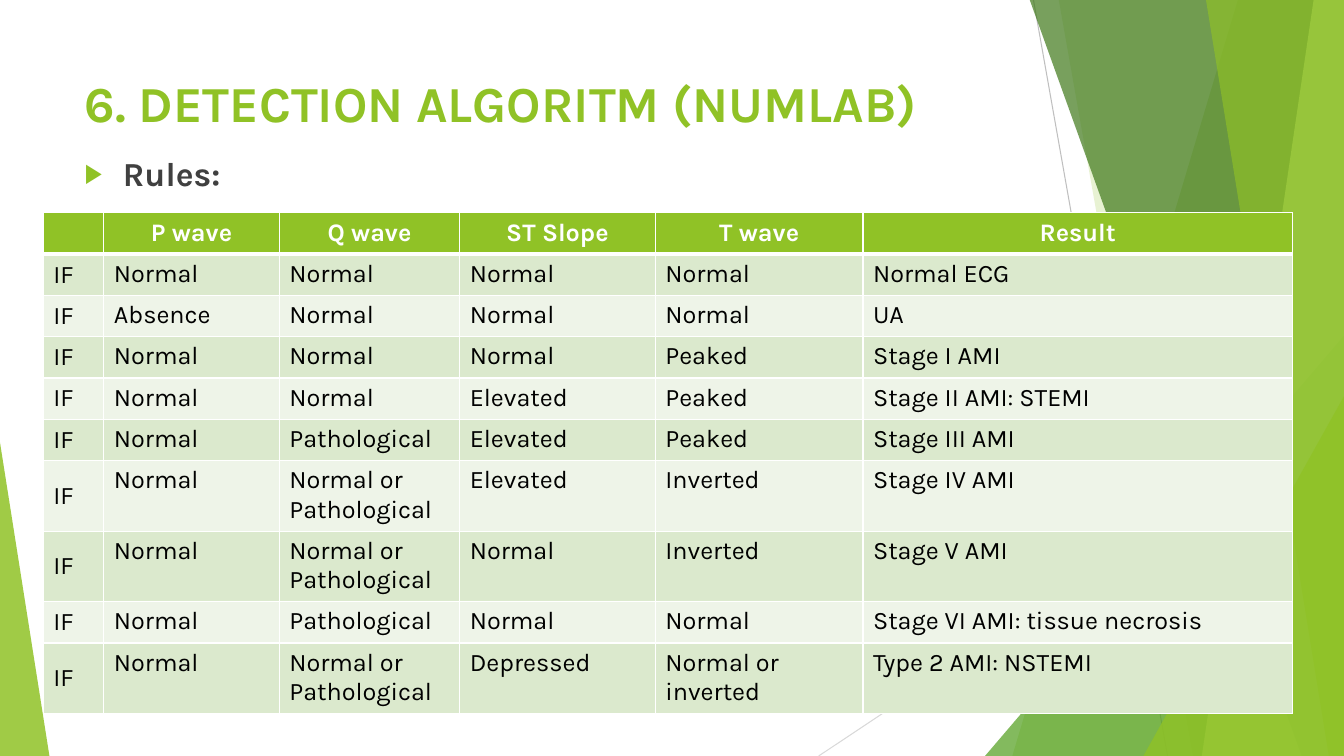
"""Build the detection rules slide with its faceted green backdrop and rule table."""
import dataclasses
import typing

import lxml.etree
import pptx
import pptx.dml.color
import pptx.enum.shapes
import pptx.enum.text
import pptx.oxml.ns
import pptx.slide
import pptx.table
import pptx.text.text
import pptx.util

PX = 9144
WIDTH, HEIGHT = 1333, 750
COLOURS = {
    "green": "90C226", "leaf": "54A021", "forest": "3F7819", "lime": "C0E474",
    "silver": "BFBFBF", "mist": "D9D9D9", "charcoal": "404040", "white": "FFFFFF",
    "black": "000000", "band_dark": "DBE9CD", "band_light": "EEF4E8",
}
ALIGN = pptx.enum.text.PP_ALIGN
ANCHOR = pptx.enum.text.MSO_ANCHOR
Point = tuple[int, int]


@dataclasses.dataclass(frozen=True)
class Ray:
    start: Point
    end: Point
    colour: str


@dataclasses.dataclass(frozen=True)
class Facet:
    top_left: int
    bottom_left: int
    colour: str
    opacity: int


@dataclasses.dataclass(frozen=True)
class Wedge:
    left: int
    top: int
    width: int
    apex: float
    colour: str
    opacity: int


@dataclasses.dataclass(frozen=True)
class Label:
    text: str
    left: int
    top: int
    width: int
    height: int
    inset_top: int
    size: int
    colour: str
    bulleted: bool = False


BACKDROP = (
    Ray((1025, 0), (1158, 750), "silver"),
    Ray((1333, 403), (812, 750), "mist"),
    Facet(1228, 1004, "green", 30),
    Facet(1050, 1183, "green", 20),
    Wedge(977, 333, 356, 1, "leaf", 72),
    Facet(1021, 1291, "forest", 70),
    Facet(1303, 1192, "lime", 70),
    Facet(1196, 1318, "green", 65),
    Wedge(1134, 393, 199, 1, "green", 80),
    Wedge(0, 439, 49, 0, "green", 85),
)
LABELS = (
    Label("6. DETECTION ALGORITM (NUMLAB)", 74, 67, 940, 144, 5, 36, "green"),
    Label("Rules:", 74, 94, 612, 117, 58, 24, "charcoal", True),
)
COLUMN_WIDTHS = (60, 174, 179, 194, 206, 426)
ROW_HEIGHT, TABLE_HEIGHT = 41, 494
HEADER = ("", "P wave", "Q wave", "ST Slope", "T wave", "Result")
RULES = (
    ("Normal", "Normal", "Normal", "Normal", "Normal ECG"),
    ("Absence", "Normal", "Normal", "Normal", "UA"),
    ("Normal", "Normal", "Normal", "Peaked", "Stage I AMI"),
    ("Normal", "Normal", "Elevated", "Peaked", "Stage II AMI: STEMI"),
    ("Normal", "Pathological", "Elevated", "Peaked", "Stage III AMI"),
    ("Normal", "Normal or Pathological", "Elevated", "Inverted", "Stage IV AMI"),
    ("Normal", "Normal or Pathological", "Normal", "Inverted", "Stage V AMI"),
    ("Normal", "Pathological", "Normal", "Normal", "Stage VI AMI: tissue necrosis"),
    ("Normal", "Normal or Pathological", "Depressed", "Normal or inverted", "Type 2 AMI: NSTEMI"),
)


def rgb(colour: str) -> pptx.dml.color.RGBColor:
    return pptx.dml.color.RGBColor.from_string(COLOURS[colour])


def add_child(parent: typing.Any, tag: str, **attributes: str) -> typing.Any:
    return lxml.etree.SubElement(parent, pptx.oxml.ns.qn(tag), attributes)


def apply(target: typing.Any, values: dict[str, typing.Any]) -> None:
    for name, value in values.items():
        setattr(target, name, value)


def write(para: typing.Any, text: str, size: int, colour: str, bold: bool) -> None:
    span = para.add_run()
    span.text = text
    apply(span.font, {"name": "Karla", "size": pptx.util.Pt(size), "bold": bold})
    span.font.color.rgb = rgb(colour)


def draw_ray(page: pptx.slide.Slide, ray: Ray) -> None:
    ends = [value * PX for value in ray.start + ray.end]
    line = page.shapes.add_connector(pptx.enum.shapes.MSO_CONNECTOR.STRAIGHT, *ends)
    line.line.color.rgb = rgb(ray.colour)
    line.line.width = pptx.util.Pt(0.75)
    add_child(line.element.spPr, "a:effectLst")


def paint(shape: typing.Any, colour: str, opacity: int) -> None:
    shape.shadow.inherit = False
    shape.fill.solid()
    shape.fill.fore_color.rgb = rgb(colour)
    shape.line.fill.background()
    tint = next(shape.element.spPr.iter(pptx.oxml.ns.qn("a:srgbClr")))
    add_child(tint, "a:alpha", val=str(opacity * 1000))


def draw_facet(page: pptx.slide.Slide, facet: Facet) -> None:
    outline = page.shapes.build_freeform(facet.top_left, -1, scale=PX)
    outline.add_line_segments([(WIDTH, -1), (WIDTH, HEIGHT), (facet.bottom_left, HEIGHT)])
    paint(outline.convert_to_shape(), facet.colour, facet.opacity)


def draw_wedge(page: pptx.slide.Slide, wedge: Wedge) -> None:
    frame = (wedge.left, wedge.top, wedge.width, HEIGHT - wedge.top)
    triangle = pptx.enum.shapes.MSO_SHAPE.ISOSCELES_TRIANGLE
    shape = page.shapes.add_shape(triangle, *(value * PX for value in frame))
    shape.adjustments[0] = wedge.apex
    paint(shape, wedge.colour, wedge.opacity)


def draw_label(page: pptx.slide.Slide, label: Label) -> None:
    frame = (label.left, label.top, label.width, label.height)
    box = page.shapes.add_textbox(*(value * PX for value in frame)).text_frame
    apply(box, {"word_wrap": True, "margin_top": label.inset_top * PX,
                "vertical_anchor": ANCHOR.TOP})
    para = box.paragraphs[0]
    if label.bulleted:
        layout = para._p.get_or_add_pPr()
        layout.set("marL", str(38 * PX))
        layout.set("indent", str(-38 * PX))
        add_child(add_child(layout, "a:buClr"), "a:srgbClr", val=COLOURS["green"])
        add_child(layout, "a:buSzPct", val="80000")
        add_child(layout, "a:buFont", typeface="Arial")
        add_child(layout, "a:buChar", char="▶")
    write(para, label.text, label.size, label.colour, True)


def fill_cell(cell: typing.Any, text: str, row: int, column: int) -> None:
    heading = row == 0
    borders = cell._tc.get_or_add_tcPr()
    for side in ("L", "R", "T", "B"):
        thick = (heading and side == "B") or (row == 1 and side == "T")
        edge = add_child(borders, f"a:ln{side}", w=str(pptx.util.Pt(3 if thick else 1)))
        add_child(add_child(edge, "a:solidFill"), "a:srgbClr", val=COLOURS["white"])
    cell.fill.solid()
    cell.fill.fore_color.rgb = rgb("green" if heading else "band_dark" if row % 2 else "band_light")
    cell.vertical_anchor = ANCHOR.MIDDLE if heading or column == 0 else ANCHOR.TOP
    para = cell.text_frame.paragraphs[0]
    para.alignment = ALIGN.CENTER if heading else ALIGN.LEFT
    if text:
        write(para, text, 18, "white" if heading else "black", heading)


def draw_rules(page: pptx.slide.Slide) -> None:
    lines = (HEADER, *(("IF", *rule) for rule in RULES))
    frame = (43, 211, sum(COLUMN_WIDTHS), TABLE_HEIGHT)
    holder = page.shapes.add_table(len(lines), len(HEADER), *(value * PX for value in frame))
    table: pptx.table.Table = holder.table
    for column, width in zip(table.columns, COLUMN_WIDTHS):
        column.width = width * PX
    for row, texts in enumerate(lines):
        table.rows[row].height = ROW_HEIGHT * PX
        for column, text in enumerate(texts):
            fill_cell(table.cell(row, column), text, row, column)
    holder.height = TABLE_HEIGHT * PX


def main() -> None:
    deck = pptx.Presentation()
    apply(deck, {"slide_width": WIDTH * PX, "slide_height": HEIGHT * PX})
    page = deck.slides.add_slide(deck.slide_layouts[6])
    painters = {Ray: draw_ray, Facet: draw_facet, Wedge: draw_wedge}
    for piece in BACKDROP:
        painters[type(piece)](page, piece)
    for label in LABELS:
        draw_label(page, label)
    draw_rules(page)
    deck.save("out.pptx")


if __name__ == "__main__":
    main()
